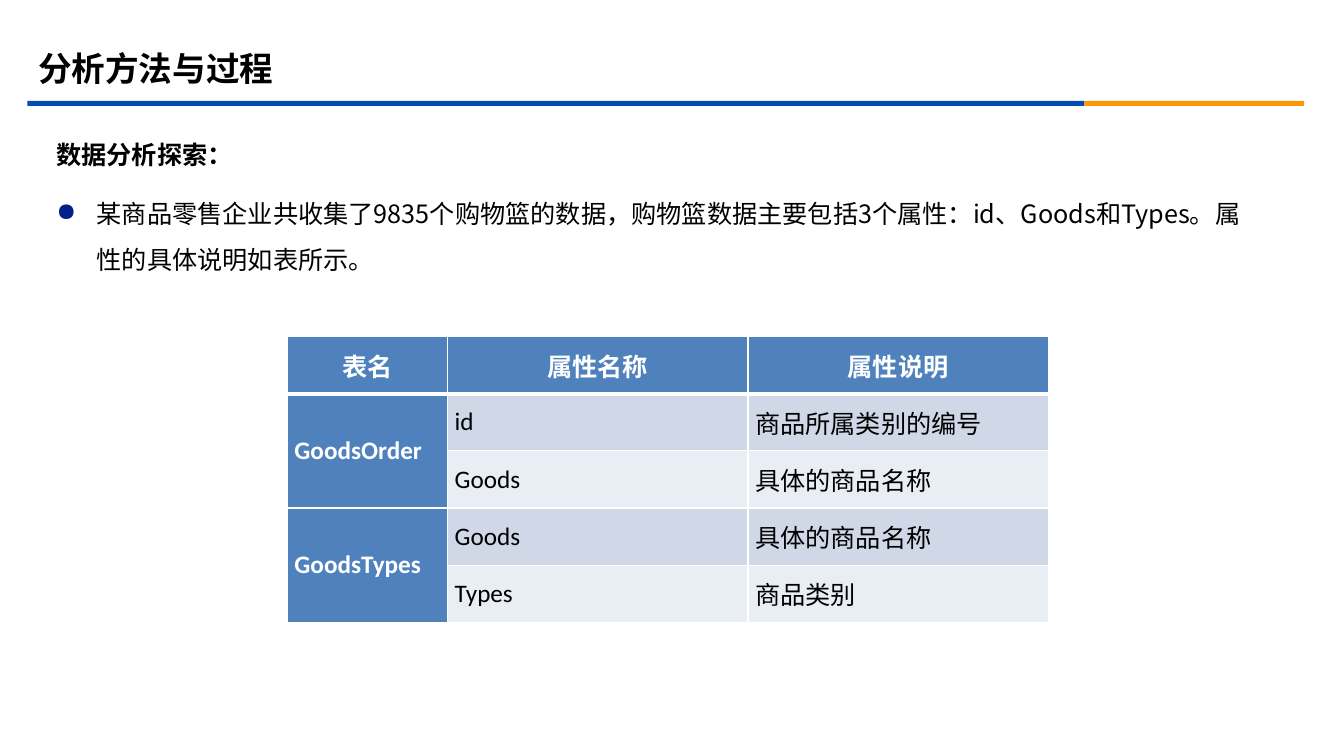
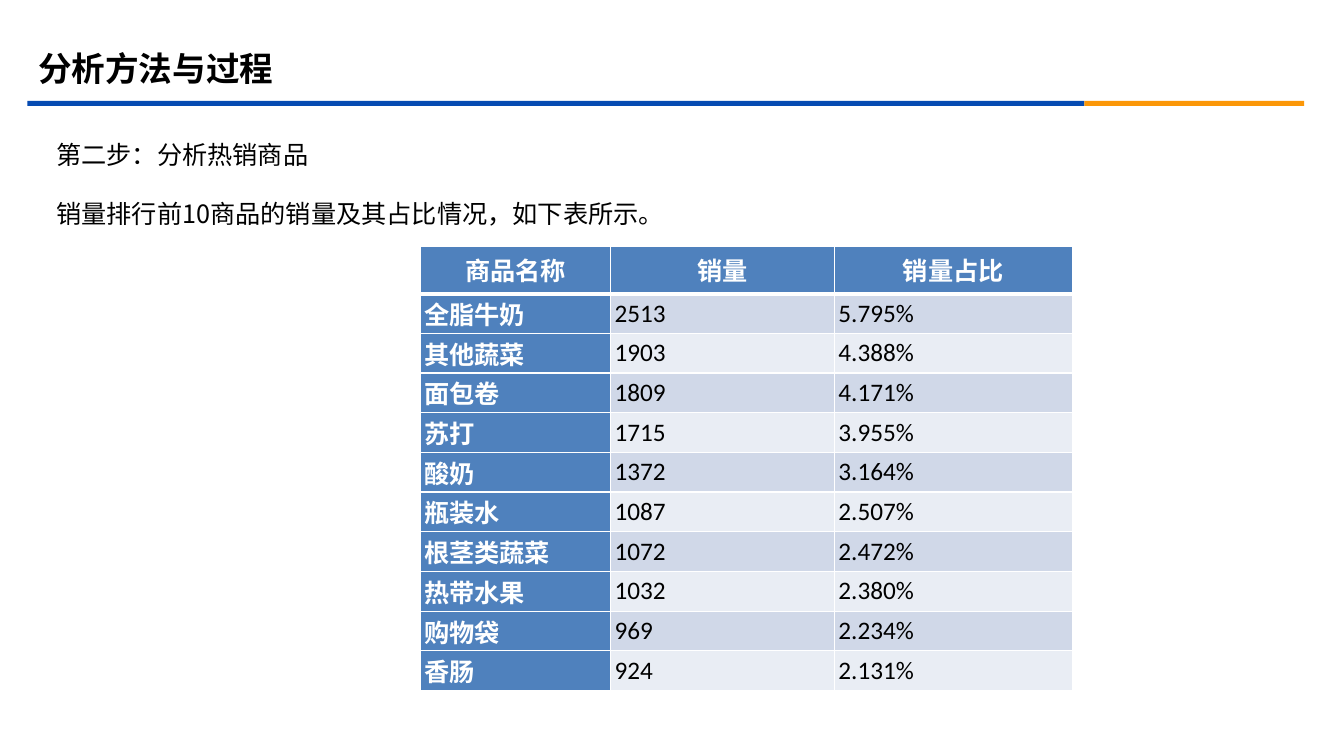
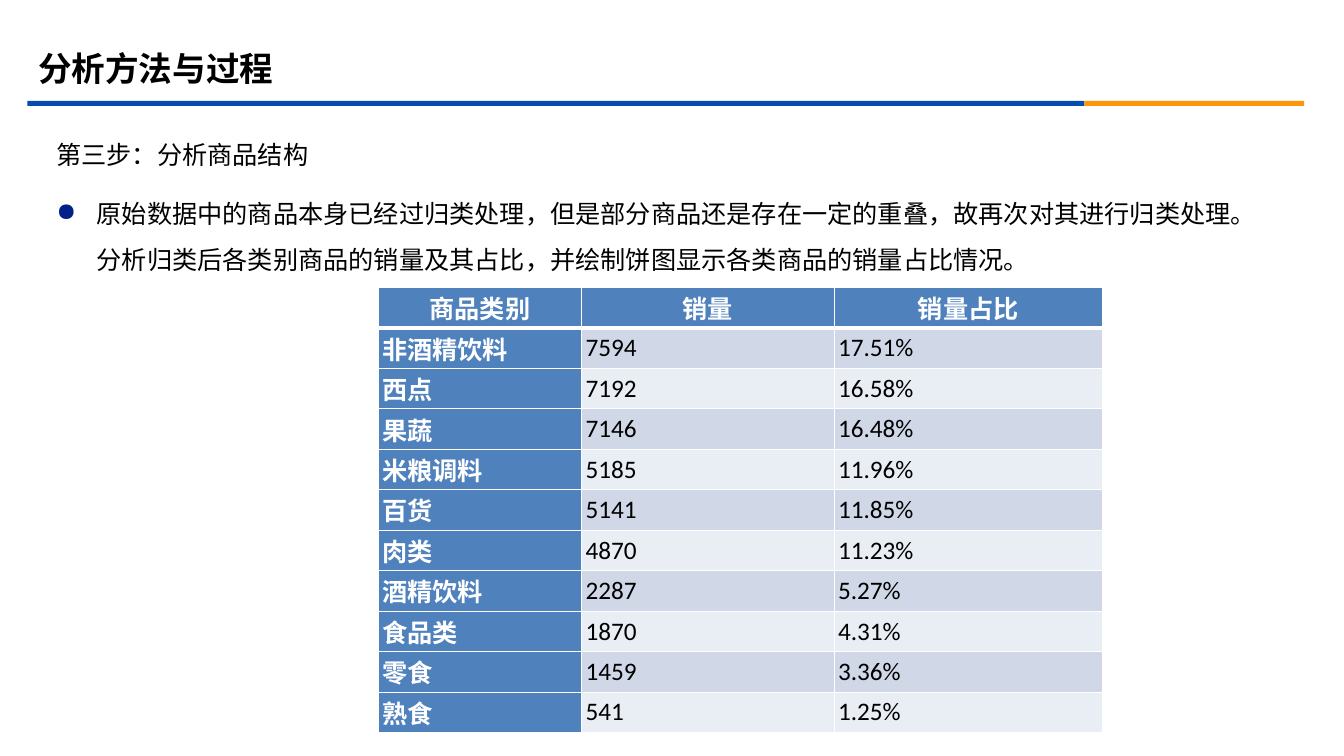
from dataclasses import dataclass

from lxml import etree
from pptx import Presentation
from pptx import util as u
from pptx.dml.color import RGBColor
from pptx.enum import shapes, text
from pptx.oxml import ns
from pptx.slide import Slide
from pptx.table import _Cell as Cell
from pptx.text.text import TextFrame, _Paragraph as TextParagraph

COLORS = {
    "ink": "000000",
    "white": "FFFFFF",
    "rule_blue": "064BB2",
    "rule_orange": "FB9708",
    "bullet": "032089",
    "header": "4F81BD",
    "band_dark": "D0D8E8",
    "band_light": "E9EDF4",
}
BODY_FONT = "Noto Sans CJK SC"
TABLE_FONT = "Calibri"
HEADING = "分析方法与过程"


@dataclass
class Band:
    left: float
    width: float
    color: str


@dataclass
class Line:
    words: str
    bold: bool = False
    bullet: bool = False


@dataclass
class Grid:
    left: float
    top: float
    widths: tuple[float, ...]
    header_height: float
    row_height: float
    side_margin: float
    header: tuple[str, ...]
    rows: list[tuple[str, ...]]


@dataclass
class Page:
    lines: list[Line]
    grid: Grid


BANDS = [Band(0.69, 26.64, "rule_blue"), Band(27.33, 5.54, "rule_orange")]

PAGES = [
    Page(
        [
            Line("数据分析探索：", bold=True),
            Line("某商品零售企业共收集了9835个购物篮的数据，购物篮数据主要包括3个属性："
                 "id、Goods和Types。属性的具体说明如表所示。", bullet=True),
        ],
        Grid(7.24, 8.48, (4.04, 7.57, 7.57), 1.44, 1.44, 0.18,
             ("表名", "属性名称", "属性说明"),
             [
                 ("GoodsOrder", "id", "商品所属类别的编号"),
                 ("", "Goods", "具体的商品名称"),
                 ("GoodsTypes", "Goods", "具体的商品名称"),
                 ("", "Types", "商品类别"),
             ]),
    ),
    Page(
        [
            Line("第二步：分析热销商品"),
            Line("销量排行前10商品的销量及其占比情况，如下表所示。"),
        ],
        Grid(10.59, 6.2, (4.8, 5.64, 5.99), 1.2, 1.0, 0.1,
             ("商品名称", "销量", "销量占比"),
             [
                 ("全脂牛奶", "2513", "5.795%"),
                 ("其他蔬菜", "1903", "4.388%"),
                 ("面包卷", "1809", "4.171%"),
                 ("苏打", "1715", "3.955%"),
                 ("酸奶", "1372", "3.164%"),
                 ("瓶装水", "1087", "2.507%"),
                 ("根茎类蔬菜", "1072", "2.472%"),
                 ("热带水果", "1032", "2.380%"),
                 ("购物袋", "969", "2.234%"),
                 ("香肠", "924", "2.131%"),
             ]),
    ),
    Page(
        [
            Line("第三步：分析商品结构"),
            Line("原始数据中的商品本身已经过归类处理，但是部分商品还是存在一定的重叠，"
                 "故再次对其进行归类处理。分析归类后各类别商品的销量及其占比，"
                 "并绘制饼图显示各类商品的销量占比情况。", bullet=True),
        ],
        Grid(9.53, 7.24, (5.13, 6.36, 6.76), 1.02, 1.02, 0.1,
             ("商品类别", "销量", "销量占比"),
             [
                 ("非酒精饮料", "7594", "17.51%"),
                 ("西点", "7192", "16.58%"),
                 ("果蔬", "7146", "16.48%"),
                 ("米粮调料", "5185", "11.96%"),
                 ("百货", "5141", "11.85%"),
                 ("肉类", "4870", "11.23%"),
                 ("酒精饮料", "2287", "5.27%"),
                 ("食品类", "1870", "4.31%"),
                 ("零食", "1459", "3.36%"),
                 ("熟食", "541", "1.25%"),
             ]),
    ),
]


def rgb(color: str) -> RGBColor:
    return RGBColor.from_string(COLORS[color])


def add_run(paragraph: TextParagraph, words: str, size: float, bold: bool,
            color: str = "ink", latin: str = BODY_FONT) -> None:
    run = paragraph.add_run()
    run.text = words
    run.font.size = u.Pt(size)
    run.font.bold = bold
    run.font.color.rgb = rgb(color)
    run.font.name = latin
    east_asian = etree.SubElement(run.font._element, ns.qn("a:ea"))
    east_asian.set("typeface", BODY_FONT)


def add_text_area(slide: Slide, left: float, top: float, width: float,
                  height: float) -> TextFrame:
    area = slide.shapes.add_textbox(u.Cm(left), u.Cm(top), u.Cm(width), u.Cm(height))
    area.text_frame.word_wrap = True
    return area.text_frame


def add_bullet(paragraph: TextParagraph) -> None:
    properties = paragraph._p.get_or_add_pPr()
    properties.set("marL", str(u.Cm(1.02)))
    properties.set("indent", str(-u.Cm(1.02)))
    bullet_color = etree.SubElement(properties, ns.qn("a:buClr"))
    etree.SubElement(bullet_color, ns.qn("a:srgbClr")).set("val", COLORS["bullet"])
    etree.SubElement(properties, ns.qn("a:buChar")).set("char", "●")


def draw_frame(slide: Slide) -> None:
    for band in BANDS:
        bar = slide.shapes.add_shape(shapes.MSO_SHAPE.RECTANGLE, u.Cm(band.left),
                                     u.Cm(2.54), u.Cm(band.width), u.Cm(0.13))
        bar.shadow.inherit = False
        bar.fill.solid()
        bar.fill.fore_color.rgb = rgb(band.color)
        bar.line.fill.background()
    heading = add_text_area(slide, 0.71, 0.99, 30.48, 1.47)
    heading.vertical_anchor = text.MSO_ANCHOR.MIDDLE
    add_run(heading.paragraphs[0], HEADING, 24, True)


def draw_lines(slide: Slide, lines: list[Line]) -> None:
    body = add_text_area(slide, 1.17, 3.0, 30.86, 14.02)
    for index, line in enumerate(lines):
        paragraph = body.add_paragraph() if index else body.paragraphs[0]
        paragraph.line_spacing = 1.5
        paragraph.space_before = u.Pt(10)
        if line.bullet:
            add_bullet(paragraph)
        add_run(paragraph, line.words, 18, line.bold)


def set_borders(cell: Cell, top: float, bottom: float) -> None:
    properties = cell._tc.get_or_add_tcPr()
    edges = {"a:lnL": 1, "a:lnR": 1, "a:lnT": top, "a:lnB": bottom}
    for position, (edge, weight) in enumerate(edges.items()):
        border = etree.Element(ns.qn(edge), w=str(u.Pt(weight)))
        fill = etree.SubElement(border, ns.qn("a:solidFill"))
        etree.SubElement(fill, ns.qn("a:srgbClr")).set("val", COLORS["white"])
        properties.insert(position, border)


def draw_grid(slide: Slide, grid: Grid) -> None:
    records = [grid.header, *grid.rows]
    heights = [grid.header_height] + [grid.row_height] * len(grid.rows)
    table = slide.shapes.add_table(
        len(records), len(grid.widths), u.Cm(grid.left), u.Cm(grid.top),
        u.Cm(sum(grid.widths)), u.Cm(sum(heights))).table
    for column, width in zip(table.columns, grid.widths):
        column.width = u.Cm(width)
    for r, (record, height) in enumerate(zip(records, heights)):
        table.rows[r].height = u.Cm(height)
        for c, words in enumerate(record):
            cell = table.cell(r, c)
            is_label = r == 0 or c == 0
            band = "band_dark" if r % 2 else "band_light"
            cell.fill.solid()
            cell.fill.fore_color.rgb = rgb("header" if is_label else band)
            set_borders(cell, 3 if r == 1 else 1, 3 if r == 0 else 1)
            cell.vertical_anchor = text.MSO_ANCHOR.MIDDLE
            cell.margin_left = cell.margin_right = u.Cm(grid.side_margin)
            cell.margin_top = cell.margin_bottom = 0
            if not words:
                table.cell(r - 1, c).merge(cell)
                continue
            paragraph = cell.text_frame.paragraphs[0]
            paragraph.alignment = text.PP_ALIGN.LEFT if r else text.PP_ALIGN.CENTER
            add_run(paragraph, words, 18, is_label,
                    "white" if is_label else "ink", TABLE_FONT)


def main() -> None:
    deck = Presentation()
    deck.slide_width, deck.slide_height = u.Cm(33.87), u.Cm(19.05)
    for page in PAGES:
        slide = deck.slides.add_slide(deck.slide_layouts[6])
        draw_frame(slide)
        draw_lines(slide, page.lines)
        draw_grid(slide, page.grid)
    deck.save("out.pptx")


if __name__ == "__main__":
    main()
